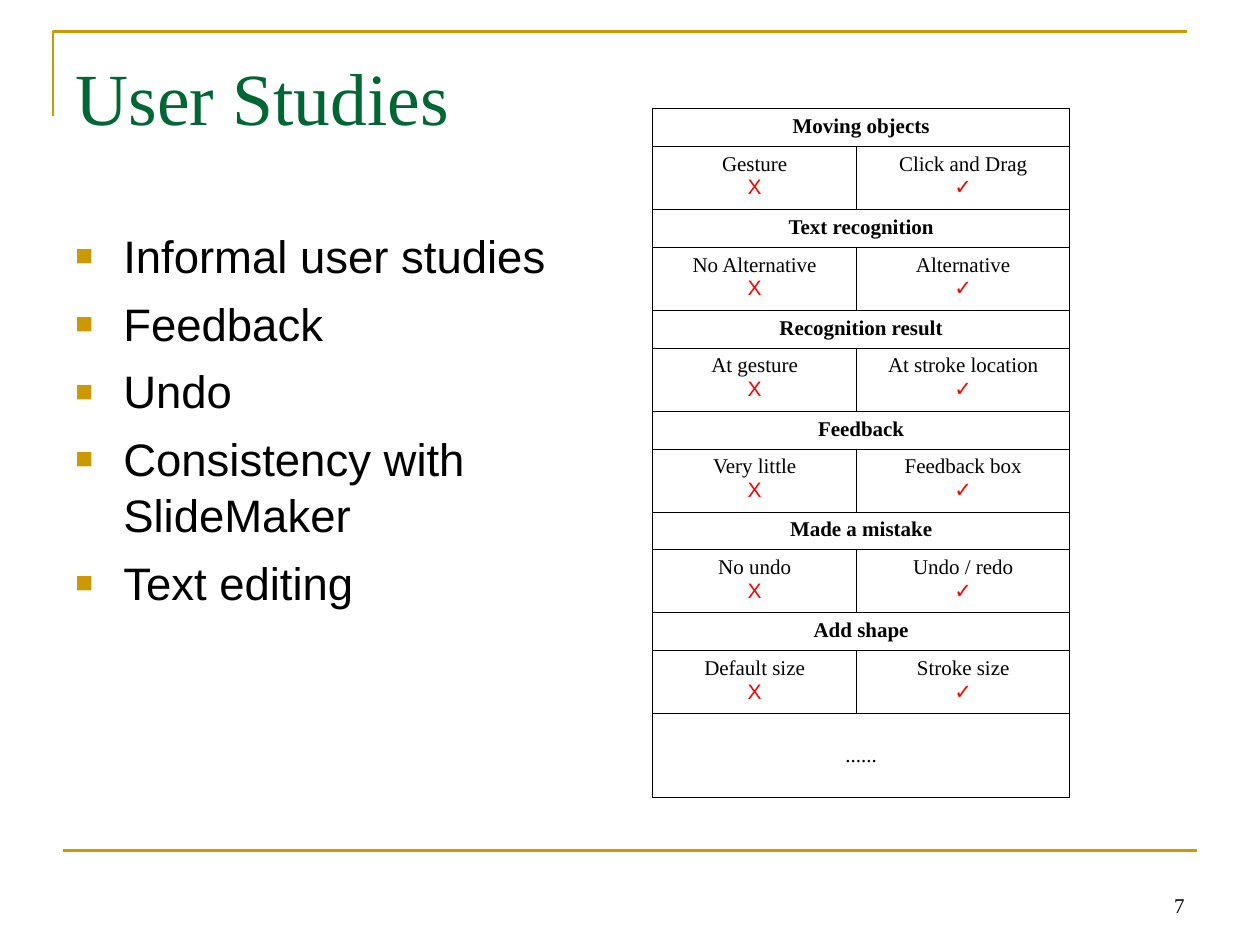
from lxml import etree
from pptx import Presentation
from pptx.dml.color import RGBColor
from pptx.enum.shapes import MSO_CONNECTOR
from pptx.enum.text import MSO_ANCHOR, PP_ALIGN
from pptx.oxml.ns import qn
from pptx.util import Inches, Pt

SERIF, SANS = "Times New Roman", "Arial"
BLACK, RED, GOLD, GREEN = "000000", "FF0000", "CC9900", "006633"

BULLETS = ["Informal user studies", "Feedback", "Undo",
           "Consistency with SlideMaker", "Text editing"]
FINDINGS = [
    ("Moving objects", "Gesture", "Click and Drag"),
    ("Text recognition", "No Alternative", "Alternative"),
    ("Recognition result", "At gesture", "At stroke location"),
    ("Feedback", "Very little", "Feedback box"),
    ("Made a mistake", "No undo", "Undo / redo"),
    ("Add shape", "Default size", "Stroke size"),
]


def color(value):
    return RGBColor.from_string(value)


def add_run(p, text, size, font=SERIF, fill=BLACK, bold=False):
    r = p.add_run()
    r.text = text
    r.font.size = Pt(size)
    r.font.name = font
    r.font.bold = bold
    r.font.color.rgb = color(fill)


def add_text_box(s, x, y, w, h):
    tf = s.shapes.add_textbox(Inches(x), Inches(y), Inches(w), Inches(h)).text_frame
    tf.word_wrap = True
    return tf


def add_frame(s):
    builder = s.shapes.build_freeform(Inches(0.42), Inches(0.92))
    builder.add_line_segments(
        [(Inches(0.42), Inches(0.25)), (Inches(9.42), Inches(0.25))], close=False)
    corner = builder.convert_to_shape()
    corner.shadow.inherit = False
    corner.fill.background()
    rule = s.shapes.add_connector(
        MSO_CONNECTOR.STRAIGHT, Inches(0.5), Inches(6.75), Inches(9.5), Inches(6.75))
    etree.SubElement(rule._element.spPr, qn("a:effectLst"))
    for sp in (corner, rule):
        sp.line.color.rgb = color(GOLD)
        sp.line.width = Pt(1.5)


def add_title(s, text):
    tf = add_text_box(s, 0.5, 0.3, 9, 1.25)
    tf.margin_top = Inches(0.11)
    add_run(tf.paragraphs[0], text, 42, fill=GREEN)


def set_bullet(p):
    pPr = p._p.get_or_add_pPr()
    pPr.set("marL", str(Inches(0.38)))
    pPr.set("indent", str(-Inches(0.38)))
    clr = etree.SubElement(pPr, qn("a:buClr"))
    etree.SubElement(clr, qn("a:srgbClr"), val=GOLD)
    etree.SubElement(pPr, qn("a:buSzPct"), val="65000")
    etree.SubElement(pPr, qn("a:buFont"), typeface=SANS)
    etree.SubElement(pPr, qn("a:buChar"), char="■")


def add_bullets(s, items):
    tf = add_text_box(s, 0.5, 1.75, 4.42, 4.95)
    for i, item in enumerate(items):
        p = tf.add_paragraph() if i else tf.paragraphs[0]
        set_bullet(p)
        p.line_spacing = 1.03
        if i:
            p.space_before = Pt(6.5)
        add_run(p, item, 26, SANS)


def style_cell(cell):
    tcPr = cell._tc.get_or_add_tcPr()
    for side in ("lnL", "lnR", "lnT", "lnB"):
        ln = etree.SubElement(tcPr, qn(f"a:{side}"), w=str(Pt(0.45)))
        fill = etree.SubElement(ln, qn("a:solidFill"))
        etree.SubElement(fill, qn("a:srgbClr"), val=BLACK)
    cell.fill.background()


def fill_cell(cell, text, mark=None, bold=False):
    tf = cell.text_frame
    p = tf.paragraphs[0]
    p.alignment = PP_ALIGN.CENTER
    add_run(p, text, 12, bold=bold)
    if mark:
        p = tf.add_paragraph()
        p.alignment = PP_ALIGN.CENTER
        add_run(p, mark, 12, SANS, RED)


def add_findings(s, findings):
    heights = [0.3, 0.5] * len(findings) + [0.66]
    widths = [1.62, 1.69]
    table = s.shapes.add_table(
        len(heights), 2, Inches(5.18), Inches(0.86),
        Inches(sum(widths)), Inches(sum(heights))).table
    table.first_row = table.horz_banding = False
    for col, width in zip(table.columns, widths):
        col.width = Inches(width)
    for row, height in zip(table.rows, heights):
        row.height = Inches(height)
        for cell in row.cells:
            style_cell(cell)
    for row in range(0, len(heights), 2):
        table.cell(row, 0).merge(table.cell(row, 1))
    for i, (topic, rejected, chosen) in enumerate(findings):
        fill_cell(table.cell(2 * i, 0), topic, bold=True)
        fill_cell(table.cell(2 * i + 1, 0), rejected, "X")
        fill_cell(table.cell(2 * i + 1, 1), chosen, "✓")
    last = table.cell(len(heights) - 1, 0)
    last.margin_top = Inches(0.24)
    fill_cell(last, "......")


def add_slide_number(s, number):
    tf = add_text_box(s, 7.17, 6.83, 2.33, 0.5)
    tf.vertical_anchor = MSO_ANCHOR.BOTTOM
    p = tf.paragraphs[0]
    p.alignment = PP_ALIGN.RIGHT
    add_run(p, number, 12)


def main():
    prs = Presentation()
    prs.slide_width, prs.slide_height = Inches(10), Inches(7.5)
    s = prs.slides.add_slide(prs.slide_layouts[6])
    add_frame(s)
    add_title(s, "User Studies")
    add_bullets(s, BULLETS)
    add_findings(s, FINDINGS)
    add_slide_number(s, "7")
    prs.save("out.pptx")


if __name__ == "__main__":
    main()
